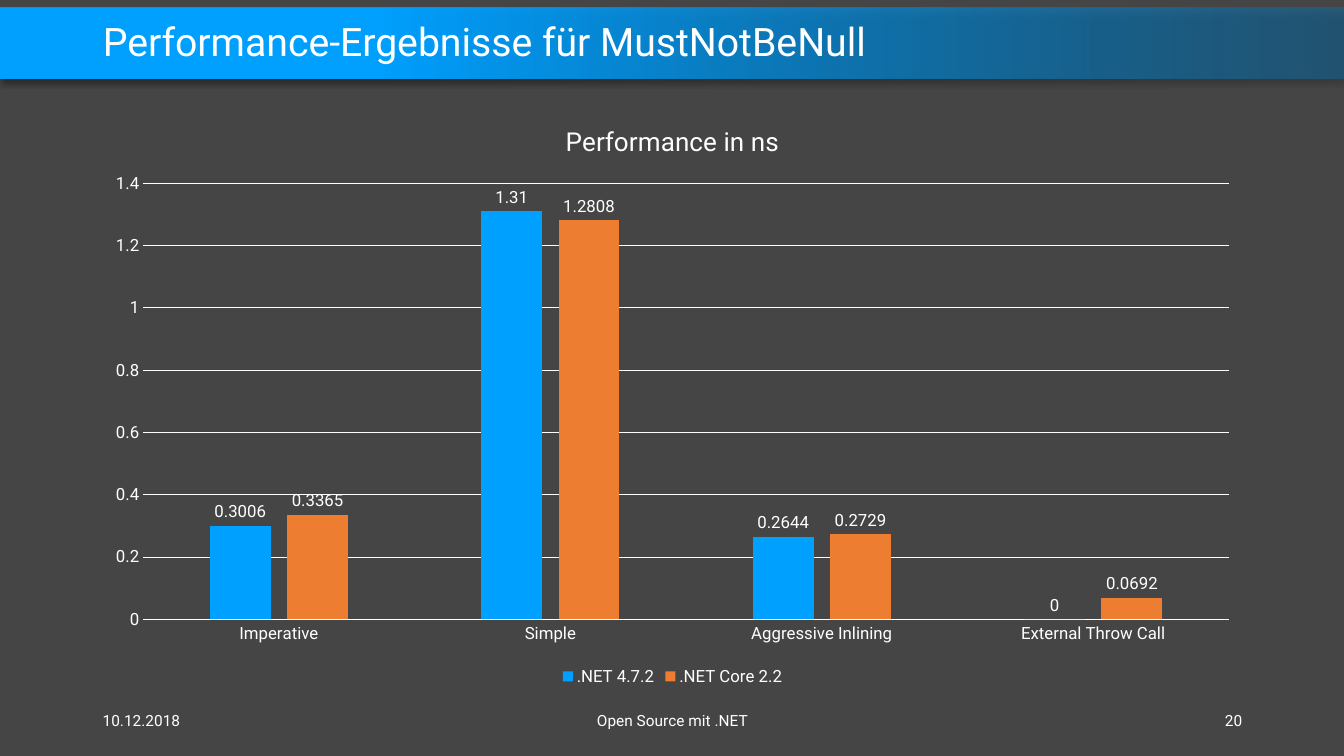
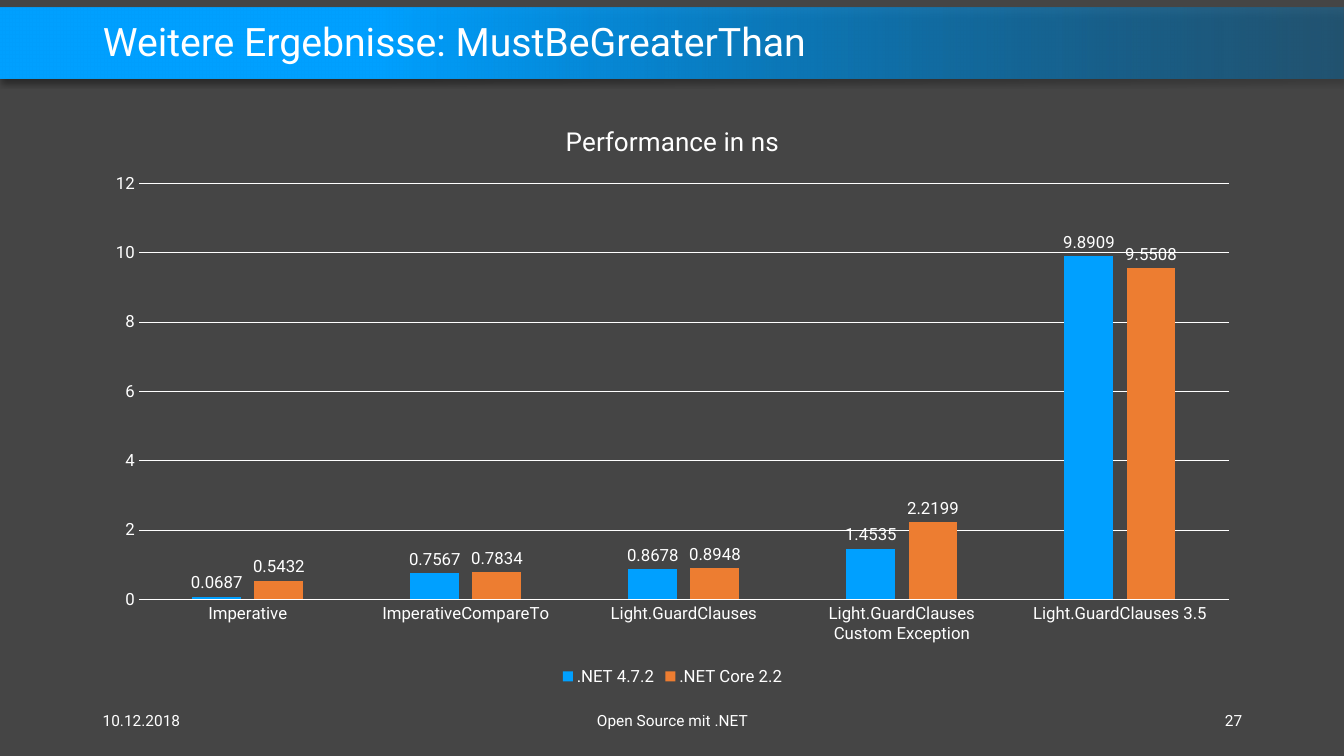
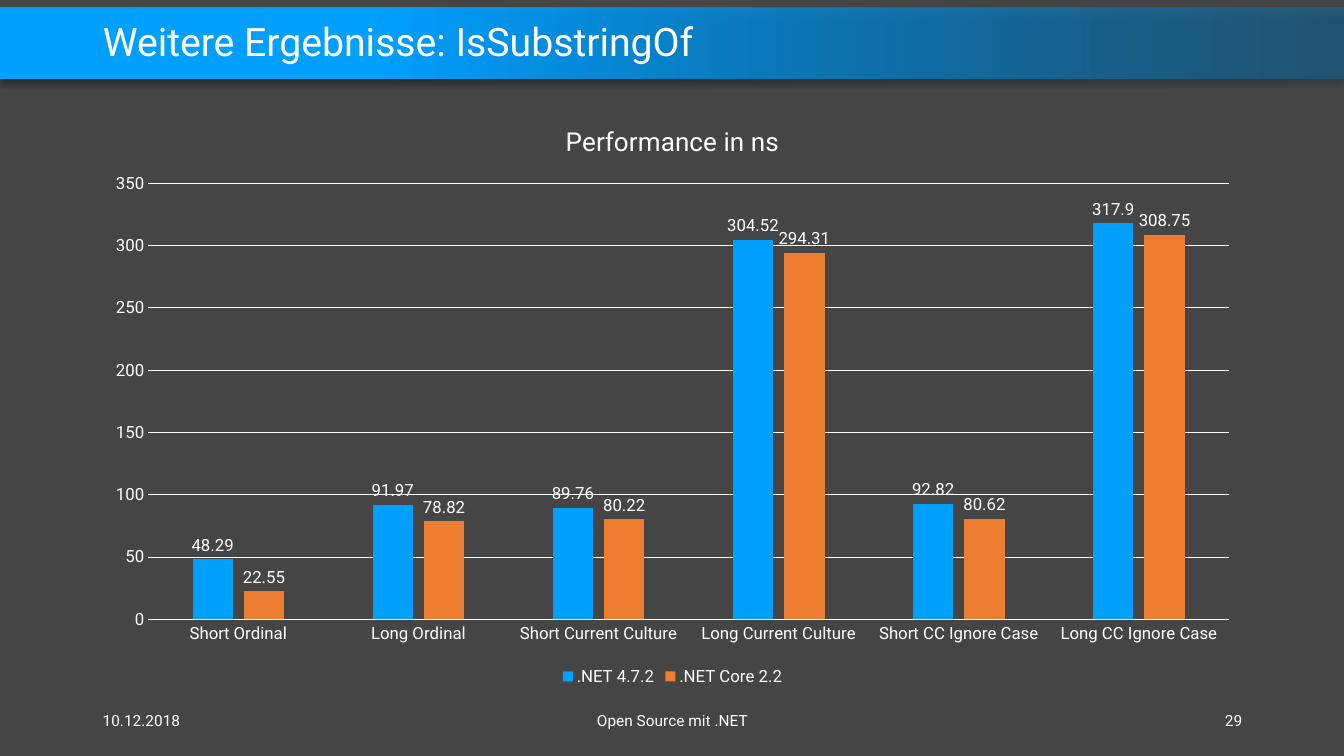
from lxml.etree import Element, SubElement
from pptx import Presentation
from pptx.chart.data import CategoryChartData
from pptx.dml.color import RGBColor
from pptx.enum.chart import XL_CHART_TYPE, XL_LABEL_POSITION, XL_LEGEND_POSITION, XL_TICK_MARK
from pptx.enum.shapes import MSO_SHAPE, PP_PLACEHOLDER
from pptx.enum.text import MSO_ANCHOR, MSO_AUTO_SIZE, PP_ALIGN
from pptx.oxml.ns import qn
from pptx.util import Inches, Pt

FONT = "Roboto"
WHITE = "FFFFFF"
BACKGROUND = "454545"
BLUE = "00A0FF"
DARK_BLUE = "0078BF"
ORANGE = "ED7D31"

SLIDE_WIDTH, SLIDE_HEIGHT = 13.33, 7.5
LEFT, CONTENT_WIDTH = 0.92, 11.5
TITLE_BOX = (LEFT, 0.16, CONTENT_WIDTH, 0.55)
FOOTER_TOP, FOOTER_HEIGHT = 6.95, 0.4
DATE = "10.12.2018"
FOOTER = "Open Source mit .NET"

SERIES = ((".NET 4.7.2", BLUE), (".NET Core 2.2", ORANGE))

# Plot with its axis labels, as shares of the chart
PLOT_LAYOUT = {"x": 0.02, "y": 0.12, "w": 0.96, "h": 0.8}

# Title, page number, and per category the values of both series
RESULTS = (
    ("Performance-Ergebnisse für MustNotBeNull", 20, {
        "Imperative": (0.3006, 0.3365),
        "Simple": (1.31, 1.2808),
        "Aggressive Inlining": (0.2644, 0.2729),
        "External Throw Call": (0, 0.0692),
    }),
    ("Weitere Ergebnisse: MustBeGreaterThan", 27, {
        "Imperative": (0.0687, 0.5432),
        "ImperativeCompareTo": (0.7567, 0.7834),
        "Light.GuardClauses": (0.8678, 0.8948),
        "Light.GuardClauses Custom Exception": (1.4535, 2.2199),
        "Light.GuardClauses 3.5": (9.8909, 9.5508),
    }),
    ("Weitere Ergebnisse: IsSubstringOf", 29, {
        "Short Ordinal": (48.29, 22.55),
        "Long Ordinal": (91.97, 78.82),
        "Short Current Culture": (89.76, 80.22),
        "Long Current Culture": (304.52, 294.31),
        "Short CC Ignore Case": (92.82, 80.62),
        "Long CC Ignore Case": (317.9, 308.75),
    }),
)


def color(hex_string):
    return RGBColor.from_string(hex_string)


def box(left, top, width, height):
    return [Inches(length) for length in (left, top, width, height)]


def place(shape, bounds):
    shape.left, shape.top, shape.width, shape.height = box(*bounds)


def style_font(font, size):
    font.name = FONT
    font.size = Pt(size)
    font.bold = False
    font.color.rgb = color(WHITE)


def style_line(line):
    line.color.rgb = color(WHITE)
    line.width = Pt(0.75)


def write(text_frame, text, size, alignment):
    """Put one vertically centred line of text into the frame."""
    text_frame.word_wrap = True
    text_frame.auto_size = MSO_AUTO_SIZE.NONE
    text_frame.vertical_anchor = MSO_ANCHOR.MIDDLE
    paragraph = text_frame.paragraphs[0]
    paragraph.alignment = alignment
    run = paragraph.add_run()
    run.text = text
    style_font(run.font, size)
    return paragraph


def add_alpha(color_element, percent):
    SubElement(color_element, qn("a:alpha"), val=str(percent * 1000))


def add_band_shadow(band):
    band.shadow.inherit = False
    effects = band.element.spPr.find(qn("a:effectLst"))
    shadow = SubElement(effects, qn("a:outerShdw"), blurRad=str(Pt(4)), dist=str(Pt(3)),
                        dir=str(90 * 60000), algn="t", rotWithShape="0")
    add_alpha(SubElement(shadow, qn("a:srgbClr"), val="000000"), 40)


def add_layout_band(layout, slide):
    """Draw the title band on a slide, then move it behind the layout's title."""
    band = slide.shapes.add_shape(MSO_SHAPE.RECTANGLE, *box(0, 0.08, SLIDE_WIDTH, 0.7))
    band.line.fill.background()
    band.fill.gradient()
    band.fill.gradient_angle = 180
    dark, bright = band.fill.gradient_stops
    dark.position, dark.color.rgb = 0, color(DARK_BLUE)
    bright.position, bright.color.rgb = 0.72, color(BLUE)
    add_alpha(next(band.element.spPr.iter(qn("a:srgbClr"))), 40)
    add_band_shadow(band)
    layout.shapes.element.insert(2, band.element)


def prepare_layout(presentation):
    """Keep only the title-only layout, with nothing but its title."""
    master = presentation.slide_master
    background = master.background.fill
    background.solid()
    background.fore_color.rgb = color(BACKGROUND)
    layout = presentation.slide_layouts.get_by_name("Title Only")
    for other in list(presentation.slide_layouts):
        if other.name != layout.name:
            presentation.slide_layouts.remove(other)
    for owner in (master, layout):
        for placeholder in list(owner.placeholders):
            if placeholder.placeholder_format.type == PP_PLACEHOLDER.TITLE:
                place(placeholder, TITLE_BOX)
            else:
                owner.shapes.element.remove(placeholder.element)
    return layout


def add_title(slide, text):
    title = slide.shapes.title
    place(title, TITLE_BOX)
    write(title.text_frame, text, 28, PP_ALIGN.LEFT).line_spacing = 0.9


def add_footer(slide, page_number):
    right = LEFT + CONTENT_WIDTH
    parts = (
        (DATE, LEFT, 3, PP_ALIGN.LEFT),
        (FOOTER, LEFT + (CONTENT_WIDTH - 4.5) / 2, 4.5, PP_ALIGN.CENTER),
        (str(page_number), right - 3, 3, PP_ALIGN.RIGHT),
    )
    for text, left, width, alignment in parts:
        shape = slide.shapes.add_textbox(*box(left, FOOTER_TOP, width, FOOTER_HEIGHT))
        write(shape.text_frame, text, 11, alignment)


def style_axes(chart):
    for axis in (chart.category_axis, chart.value_axis):
        axis.major_tick_mark = axis.minor_tick_mark = XL_TICK_MARK.NONE
        style_font(axis.tick_labels.font, 12)
    style_line(chart.category_axis.format.line)
    chart.value_axis.format.line.fill.background()
    chart.value_axis.has_major_gridlines = True
    style_line(chart.value_axis.major_gridlines.format.line)


def style_series(series, fill_color):
    series.format.fill.solid()
    series.format.fill.fore_color.rgb = color(fill_color)
    series.invert_if_negative = False
    labels = series.data_labels
    labels.show_value = True
    labels.position = XL_LABEL_POSITION.OUTSIDE_END
    style_font(labels.font, 12)


def add_chart_title(chart, text):
    chart.has_title = True
    chart.chart_title.include_in_layout = False
    run = chart.chart_title.text_frame.paragraphs[0].add_run()
    run.text = text
    style_font(run.font, 18.6)


def place_plot(chart):
    plot_area = next(chart.element.iter(qn("c:plotArea")))
    for automatic in plot_area.findall(qn("c:layout")):
        plot_area.remove(automatic)
    layout = Element(qn("c:layout"))
    manual = SubElement(layout, qn("c:manualLayout"))
    SubElement(manual, qn("c:layoutTarget"), val="outer")
    for side in ("x", "y"):
        SubElement(manual, qn(f"c:{side}Mode"), val="edge")
    for side, share in PLOT_LAYOUT.items():
        SubElement(manual, qn(f"c:{side}"), val=str(share))
    plot_area.insert(0, layout)


def add_result_chart(slide, results):
    data = CategoryChartData()
    data.categories = list(results)
    for (name, _), values in zip(SERIES, zip(*results.values())):
        data.add_series(name, values)
    frame = slide.shapes.add_chart(XL_CHART_TYPE.COLUMN_CLUSTERED,
                                   *box(LEFT, 1.02, CONTENT_WIDTH, 5.83), data)
    chart = frame.chart
    style_font(chart.font, 10)
    add_chart_title(chart, "Performance in ns")
    style_axes(chart)
    place_plot(chart)
    chart.has_legend = True
    chart.legend.position = XL_LEGEND_POSITION.BOTTOM
    chart.legend.include_in_layout = False
    style_font(chart.legend.font, 12)
    plot = chart.plots[0]
    plot.gap_width = 219
    plot.overlap = -27
    plot.vary_by_categories = False
    for series, (_, fill_color) in zip(plot.series, SERIES):
        style_series(series, fill_color)


def main():
    presentation = Presentation()
    presentation.slide_width = Inches(SLIDE_WIDTH)
    presentation.slide_height = Inches(SLIDE_HEIGHT)
    layout = prepare_layout(presentation)
    for title, page_number, results in RESULTS:
        slide = presentation.slides.add_slide(layout)
        add_title(slide, title)
        add_result_chart(slide, results)
        add_footer(slide, page_number)
    add_layout_band(layout, presentation.slides[0])
    presentation.save("out.pptx")


if __name__ == "__main__":
    main()
